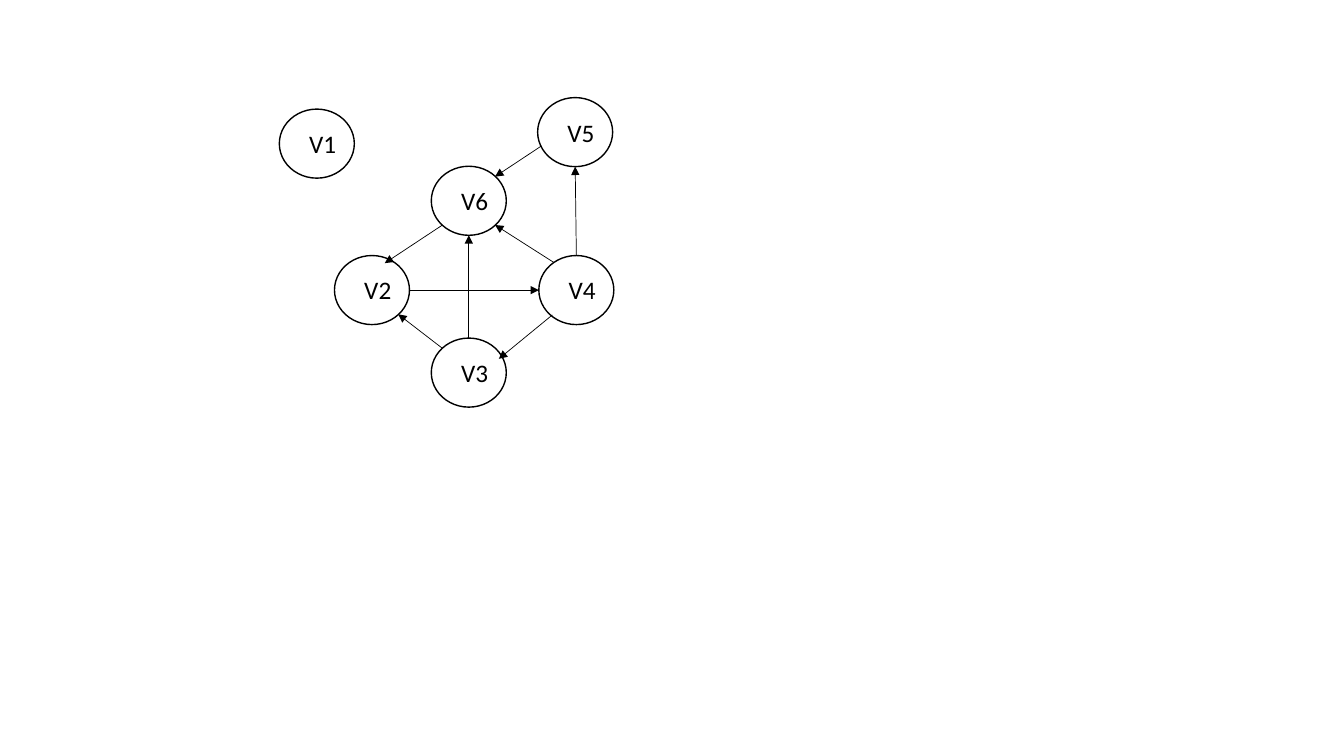
"""Draw a directed graph of six vertices."""
from dataclasses import dataclass

from pptx import Presentation
from pptx import util as u
from pptx.dml.color import RGBColor
from pptx.enum import shapes, text
from pptx.oxml.ns import qn
from pptx.slide import Slide
from lxml import etree

INK = "000000"
WIDE, HIGH = 1.89, 1.74


@dataclass(frozen=True)
class Node:
    name: str
    x: float
    y: float

    def spot(self, site: tuple[float, float]) -> tuple[u.Cm, u.Cm]:
        return u.Cm(self.x + WIDE * site[0]), u.Cm(self.y + HIGH * site[1])


@dataclass(frozen=True)
class Edge:
    tail: str
    start: tuple[float, float]
    head: str
    end: tuple[float, float]


NODES = [
    Node("V2", 8.43, 6.44),
    Node("V3", 10.87, 8.52),
    Node("V4", 13.58, 6.44),
    Node("V6", 10.87, 4.19),
    Node("V5", 13.55, 2.46),
    Node("V1", 7.04, 2.75),
]
TOP, LEFT, BASE, RIGHT = (0.5, 0), (0, 0.5), (0.5, 1), (1, 0.5)
NW, NE, SW, SE = (0.15, 0.15), (0.85, 0.15), (0.15, 0.85), (0.85, 0.85)
EDGES = [
    Edge("V2", RIGHT, "V4", LEFT),
    Edge("V3", NW, "V2", SE),
    Edge("V3", TOP, "V6", BASE),
    Edge("V4", (0.18, 0.86), "V3", (0.9, 0.3)),
    Edge("V4", (0.2, 0.1), "V6", SE),
    Edge("V4", TOP, "V5", BASE),
    Edge("V5", (0.05, 0.7), "V6", NE),
    Edge("V6", SW, "V2", (0.67, 0.11)),
]


def tint(code: str) -> RGBColor:
    return RGBColor.from_string(code)


def draw_node(slide: Slide, node: Node) -> None:
    group = slide.shapes.add_group_shape()
    ring = group.shapes.add_shape(
        shapes.MSO_SHAPE.OVAL, *node.spot((0, 0)), u.Cm(WIDE), u.Cm(HIGH))
    ring.shadow.inherit = False
    ring.fill.background()
    ring.line.color.rgb = tint(INK)
    ring.line.width = u.Pt(1)
    box = group.shapes.add_textbox(
        u.Cm(node.x + 0.5), u.Cm(node.y + 0.36), u.Cm(1.19), u.Cm(1.02))
    frame = box.text_frame
    frame.word_wrap = False
    frame.auto_size = text.MSO_AUTO_SIZE.SHAPE_TO_FIT_TEXT
    run = frame.paragraphs[0].add_run()
    run.text = node.name
    run.font.name = "Calibri"
    run.font.size = u.Pt(18)
    run.font.color.rgb = tint(INK)


def draw_edge(slide: Slide, edge: Edge, nodes: dict[str, Node]) -> None:
    link = slide.shapes.add_connector(
        shapes.MSO_CONNECTOR.STRAIGHT,
        *nodes[edge.tail].spot(edge.start), *nodes[edge.head].spot(edge.end))
    link.line.color.rgb = tint(INK)
    link.line.width = u.Pt(0.5)
    props = link._element.spPr
    etree.SubElement(props.find(qn("a:ln")), qn("a:tailEnd"), type="triangle")
    etree.SubElement(props, qn("a:effectLst"))


def main() -> None:
    deck = Presentation()
    deck.slide_width, deck.slide_height = u.Cm(33.87), u.Cm(19.05)
    slide = deck.slides.add_slide(deck.slide_layouts[6])
    for node in NODES:
        draw_node(slide, node)
    nodes = {node.name: node for node in NODES}
    for edge in EDGES:
        draw_edge(slide, edge, nodes)
    deck.save("out.pptx")


if __name__ == "__main__":
    main()
